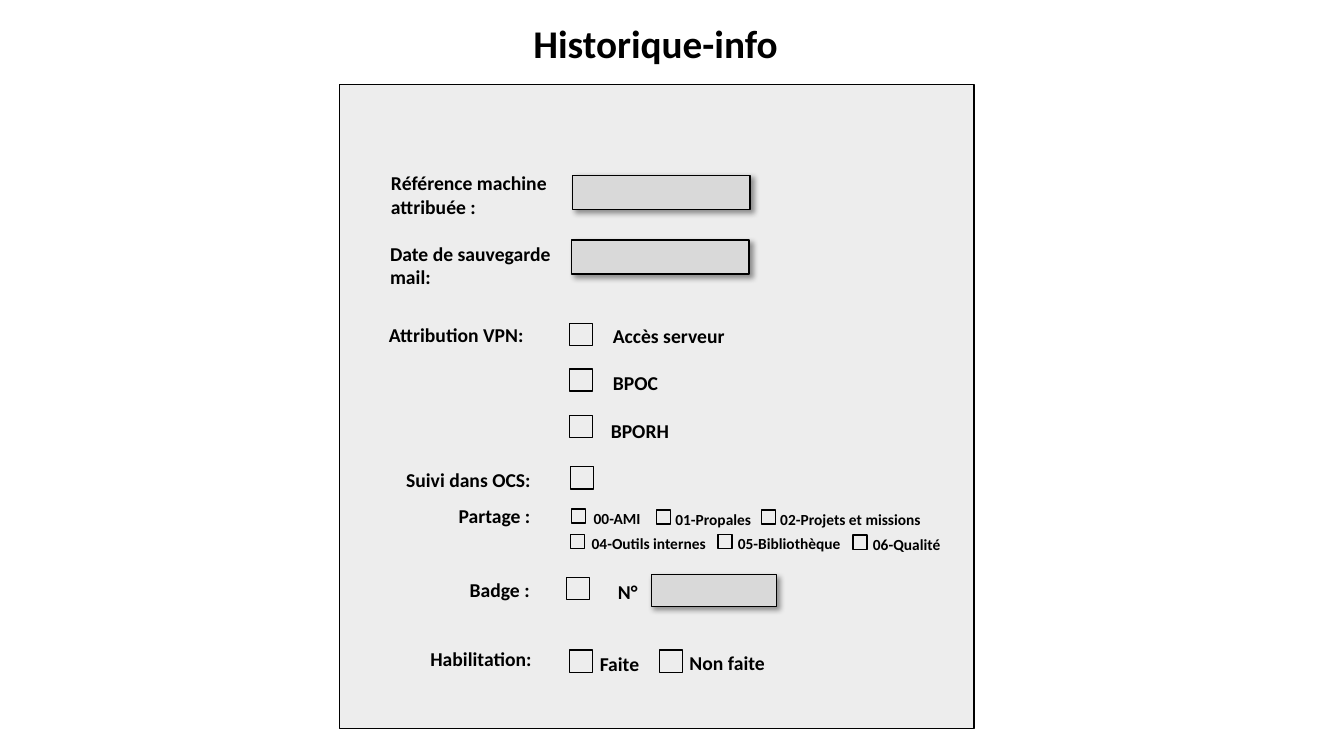
from dataclasses import dataclass

from lxml.etree import SubElement
from pptx import Presentation
from pptx.dml.color import RGBColor
from pptx.enum.shapes import MSO_SHAPE as Preset
from pptx.enum.text import MSO_ANCHOR as Anchor
from pptx.enum.text import MSO_AUTO_SIZE as AutoSize
from pptx.enum.text import PP_ALIGN as Align
from pptx.oxml.ns import qn
from pptx.shapes.autoshape import Shape
from pptx.slide import Slide
from pptx.util import Inches, Length, Pt

CELL = 0.1
BLACK, PANEL_GREY, FIELD_GREY = "000000", "EDEDED", "D9D9D9"
FORM_SIZE, SHARE_SIZE, TITLE_SIZE = 14, 11, 28


@dataclass(frozen=True)
class Area:
    """A rectangle in grid columns and rows."""
    col: float
    row: float
    cols: float
    rows: float


@dataclass(frozen=True)
class Label:
    """A bold caption of the form."""
    text: str
    area: Area
    size: int = FORM_SIZE


@dataclass(frozen=True)
class Option:
    """A tick box at a grid point, with the caption beside it."""
    col: float
    row: float
    text: str
    text_col: float
    text_row: float
    text_cols: float = 14.4


PANEL = Area(33.7, 8.4, 62.9, 63.9)
TITLE = Label("Historique-info", Area(51.9, 1.4, 36.3, 5.7), TITLE_SIZE)

LABELS = [
    Label("Référence machine attribuée :", Area(37.8, 16.5, 20.3, 5.7)),
    Label("Date de sauvegarde mail:", Area(37.7, 23.5, 18.5, 5.7)),
    Label("Attribution VPN:", Area(37.6, 31.5, 20.3, 3.4)),
    Label("Suivi dans OCS:", Area(39.3, 45.9, 20.3, 3.4)),
    Label("Partage :", Area(44.5, 49.5, 12.6, 3.4)),
    Label("Badge :", Area(45.6, 56.8, 12.6, 3.4)),
    Label("Habilitation:", Area(41.7, 63.7, 13.9, 3.4)),
]

FIELDS = [
    Area(56.8, 17.4, 17.6, 3.4),
    Area(56.7, 23.8, 17.6, 3.4),
    Area(64.6, 57, 12.4, 3.2),
]

FORM_OPTIONS = [
    Option(56.5, 32.1, "Accès serveur", 59.8, 31.6),
    Option(56.5, 36.6, "BPOC", 59.8, 36.3),
    Option(56.5, 41.2, "BPORH", 59.6, 41.1),
    Option(56.6, 46.3, "", 0, 0),
    Option(56.2, 57.3, "N°", 60.3, 57, 6.9),
    Option(56.5, 64.5, "Faite", 58.5, 64.2, 6.9),
    Option(65.4, 64.5, "Non faite", 67.4, 64.1),
]

SHARE_OPTIONS = [
    Option(56.7, 50.5, "00-AMI", 57.9, 50),
    Option(65.1, 50.6, "01-Propales", 66, 50.1),
    Option(75.5, 50.6, "02-Projets et missions", 76.4, 50.1, 17.2),
    Option(56.6, 53, "04-Outils internes", 57.7, 52.5),
    Option(71.2, 53, "05-Bibliothèque", 72.2, 52.5),
    Option(84.6, 53.1, "06-Qualité", 85.6, 52.6),
]


def color(code: str) -> RGBColor:
    """Turn a hex string into a colour."""
    return RGBColor.from_string(code)


def place(area: Area) -> tuple[Length, ...]:
    """Turn grid cells into left, top, width and height."""
    return tuple(Inches(round(cells * CELL, 2))
                 for cells in (area.col, area.row, area.cols, area.rows))


def write(holder: Shape, label: Label) -> None:
    """Put a caption into a text shape and format it."""
    frame = holder.text_frame
    frame.text = label.text
    frame.word_wrap = True
    frame.auto_size = AutoSize.SHAPE_TO_FIT_TEXT
    frame.vertical_anchor = Anchor.TOP
    paragraph = frame.paragraphs[0]
    paragraph.alignment = Align.LEFT
    font = paragraph.runs[0].font
    font.name, font.size, font.bold = "Calibri", Pt(label.size), True
    font.color.rgb = color(BLACK)


def add_title(slide: Slide, label: Label) -> None:
    """Move and fill the title placeholder."""
    title = slide.shapes.title
    title.left, title.top, title.width, title.height = place(label.area)
    write(title, label)


def add_label(slide: Slide, label: Label) -> None:
    """Draw a caption."""
    write(slide.shapes.add_textbox(*place(label.area)), label)


def add_box(slide: Slide, area: Area, fill: str | None = None) -> Shape:
    """Draw a black-edged rectangle, hollow unless a fill is given."""
    box = slide.shapes.add_shape(Preset.RECTANGLE, *place(area))
    box.shadow.inherit = False
    box.line.color.rgb = color(BLACK)
    box.line.width = Pt(1)
    if fill:
        box.fill.solid()
        box.fill.fore_color.rgb = color(fill)
    else:
        box.fill.background()
    return box


def add_field(slide: Slide, area: Area) -> None:
    """Draw an entry field with a soft shadow to the lower right."""
    field = add_box(slide, area, FIELD_GREY)
    effects = field.element.spPr.find(qn("a:effectLst"))
    shadow = SubElement(effects, qn("a:outerShdw"), blurRad=str(Pt(4)), dist=str(Pt(3)),
                        dir="2700000", algn="tl", rotWithShape="0")
    tint = SubElement(shadow, qn("a:srgbClr"), val=BLACK)
    SubElement(tint, qn("a:alpha"), val="40000")


def add_option(slide: Slide, option: Option, cols: float, rows: float,
               text_rows: float, size: int) -> None:
    """Draw a tick box and its caption, if any."""
    add_box(slide, Area(option.col, option.row, cols, rows))
    if option.text:
        area = Area(option.text_col, option.text_row, option.text_cols, text_rows)
        add_label(slide, Label(option.text, area, size))


def main() -> None:
    """Build the form slide and save it."""
    deck = Presentation()
    deck.slide_width, deck.slide_height = Inches(13.33), Inches(7.5)
    slide = deck.slides.add_slide(deck.slide_layouts[5])
    add_title(slide, TITLE)
    add_box(slide, PANEL, PANEL_GREY)
    for label in LABELS:
        add_label(slide, label)
    for field in FIELDS:
        add_field(slide, field)
    for option in FORM_OPTIONS:
        add_option(slide, option, 2.3, 2.2, 3.4, FORM_SIZE)
    for option in SHARE_OPTIONS:
        add_option(slide, option, 1.4, 1.4, 2.9, SHARE_SIZE)
    deck.save("out.pptx")


if __name__ == "__main__":
    main()
